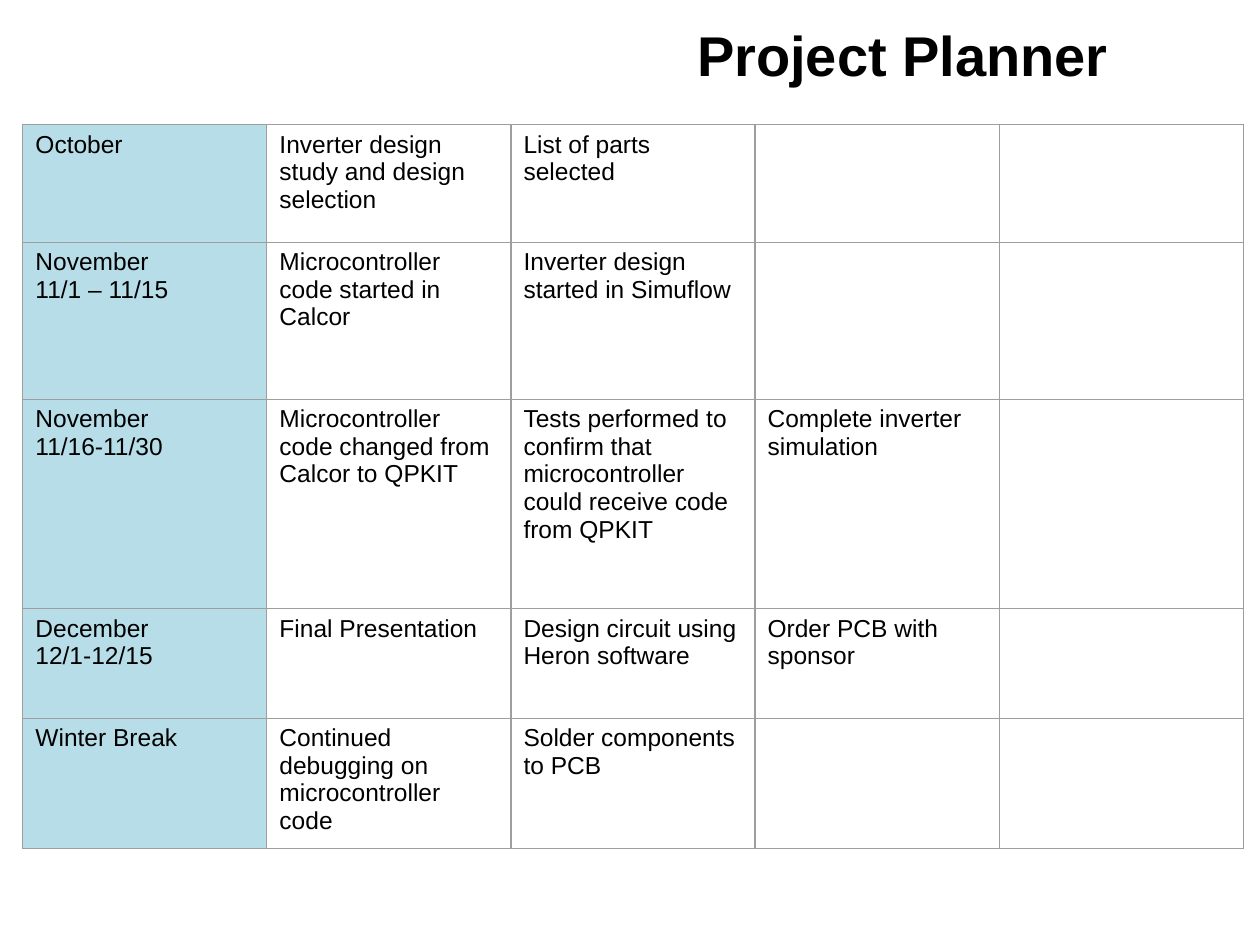
"""Build the project planner slide: a title above a month-by-month table."""
from lxml.etree import SubElement
from pptx import Presentation
from pptx.dml.color import RGBColor
from pptx.enum.text import MSO_ANCHOR, PP_ALIGN
from pptx.oxml.ns import qn
from pptx.util import Cm, Pt

TITLE = "Project Planner"
PLAN = [
    (2.37, ["October"],
     ["Inverter design study and design selection", "List of parts selected"]),
    (3.17, ["November", "11/1 – 11/15"],
     ["Microcontroller code started in Calcor", "Inverter design started in Simuflow"]),
    (4.22, ["November", "11/16-11/30"],
     ["Microcontroller code changed from Calcor to QPKIT",
      "Tests performed to confirm that microcontroller could receive code from QPKIT",
      "Complete inverter simulation"]),
    (2.21, ["December", "12/1-12/15"],
     ["Final Presentation", "Design circuit using Heron software", "Order PCB with sponsor"]),
    (2.21, ["Winter Break"],
     ["Continued debugging on microcontroller code", "Solder components to PCB"]),
]
COLUMNS = 5
COLUMN_WIDTH = 4.92

FONT = "Arial"
BLACK = RGBColor(0x00, 0x00, 0x00)
WHITE = RGBColor(0xFF, 0xFF, 0xFF)
PALE_BLUE = RGBColor(0xB7, 0xDE, 0xE8)
GREY = RGBColor(0x9E, 0x9E, 0x9E)


def add_text(tf, lines, size, bold=False, align=PP_ALIGN.LEFT):
    for i, line in enumerate(lines):
        p = tf.add_paragraph() if i else tf.paragraphs[0]
        p.alignment = align
        r = p.add_run()
        r.text = line
        r.font.name = FONT
        r.font.size = Pt(size)
        r.font.bold = bold
        r.font.color.rgb = BLACK


def set_borders(cell):
    tc_pr = cell._tc.get_or_add_tcPr()
    for side in ("lnL", "lnR", "lnT", "lnB"):
        ln = SubElement(tc_pr, qn(f"a:{side}"), w=str(Pt(0.75)))
        fill = SubElement(ln, qn("a:solidFill"))
        SubElement(fill, qn("a:srgbClr"), val=str(GREY))


def add_title(s):
    sp = s.shapes.add_textbox(Cm(11.71), Cm(-0.03), Cm(12.98), Cm(2.24))
    tf = sp.text_frame
    tf.word_wrap = True
    tf.vertical_anchor = MSO_ANCHOR.MIDDLE
    tf.margin_left = tf.margin_right = tf.margin_top = tf.margin_bottom = Cm(0.25)
    add_text(tf, [TITLE], 32, bold=True, align=PP_ALIGN.CENTER)


def add_plan(s):
    height = sum(row[0] for row in PLAN)
    table = s.shapes.add_table(len(PLAN), COLUMNS, Cm(0.46), Cm(2.51),
                               Cm(COLUMN_WIDTH * COLUMNS), Cm(height)).table
    table.first_row = table.horz_banding = False
    for column in table.columns:
        column.width = Cm(COLUMN_WIDTH)
    for row, (row_height, period, tasks) in zip(table.rows, PLAN):
        row.height = Cm(row_height)
        texts = [period] + [[task] for task in tasks]
        texts += [[]] * (COLUMNS - len(texts))
        for i, (cell, lines) in enumerate(zip(row.cells, texts)):
            set_borders(cell)
            cell.fill.solid()
            cell.fill.fore_color.rgb = WHITE if i else PALE_BLUE
            add_text(cell.text_frame, lines, 14)


def main():
    prs = Presentation()
    prs.slide_width, prs.slide_height = Cm(25.4), Cm(19.05)
    s = prs.slides.add_slide(prs.slide_layouts[6])
    add_title(s)
    add_plan(s)
    prs.save("out.pptx")


if __name__ == "__main__":
    main()
